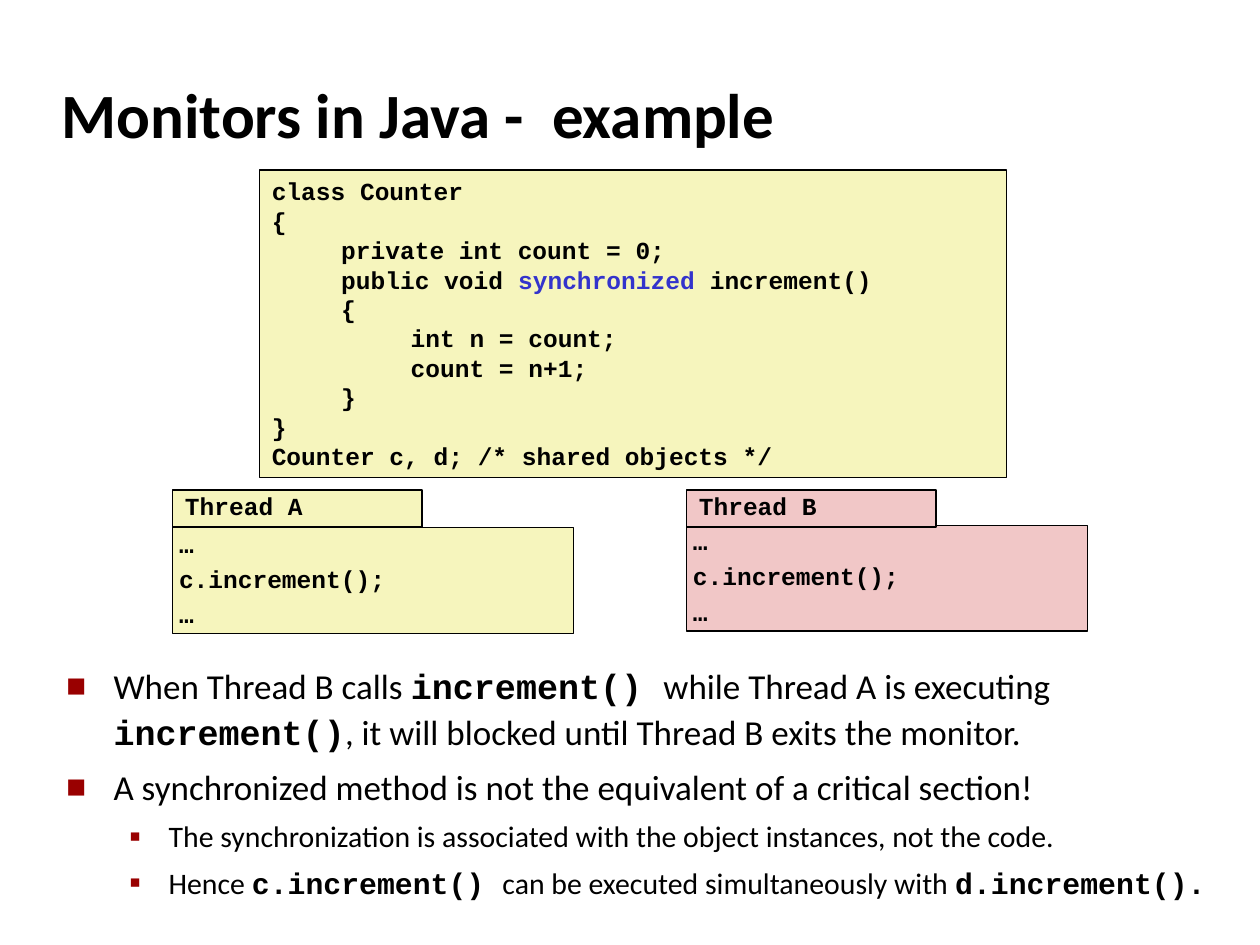
from lxml import etree
from pptx import Presentation
from pptx.dml.color import RGBColor
from pptx.enum.shapes import MSO_SHAPE
from pptx.enum.text import MSO_ANCHOR, MSO_AUTO_SIZE, PP_ALIGN
from pptx.oxml.ns import qn
from pptx.util import Cm, Pt

RECTANGLE = MSO_SHAPE.RECTANGLE
TOP, MIDDLE = MSO_ANCHOR.TOP, MSO_ANCHOR.MIDDLE
LEFT = PP_ALIGN.LEFT
NO_FIT, GROW = MSO_AUTO_SIZE.NONE, MSO_AUTO_SIZE.SHAPE_TO_FIT_TEXT

BLACK, KEYWORD_BLUE, BULLET_RED = "000000", "3333CC", "990000"
YELLOW, PINK = "F6F5BD", "F1C7C7"

TITLE = {"name": "Calibri", "size": Pt(36), "bold": True}
PROSE = {"name": "Calibri", "bold": False}
CODE = {"name": "Courier New", "bold": True}
LISTING = {**CODE, "size": Pt(14)}

THREAD_SPACING = {"line_spacing": 0.8, "space_before": Pt(6.8)}

# Bullet levels: text size, space before, left margin, hanging indent, mark, mark size
LEVELS = [
    {"size": Pt(20), "before": Pt(5), "margin": Cm(0.95), "hang": Cm(0.95),
     "mark": "■", "percent": 60},
    {"size": Pt(17), "before": Pt(4.2), "margin": Cm(2.06), "hang": Cm(0.79),
     "mark": "▪", "percent": 110},
]

COUNTER_CLASS = [
    ["class Counter"],
    ["{"],
    ["\tprivate int count = 0;"],
    ["\tpublic void ", "synchronized", " increment()"],
    ["\t{"],
    ["\t\tint n = count;"],
    ["\t\tcount = n+1;"],
    ["\t}"],
    ["}"],
    ["Counter c, d; /* shared objects */"],
]

THREAD_CODE = [["…"], ["c.increment();"], ["…"]]

# Level and text pieces, which alternate between prose and code
NOTES = [
    (0, ["When Thread B calls ", "increment() ", "while Thread A is executing ",
         "increment()", ", it will blocked until Thread B exits the monitor."]),
    (0, ["A synchronized method is not the equivalent of a critical section!"]),
    (1, ["The synchronization is associated with the object instances, not the code."]),
    (1, ["Hence ", "c.increment() ", "can be executed simultaneously with ",
         "d.increment()."]),
]

# Name, left edge, top of the code box, colour
THREADS = [
    ("Thread A", Cm(3.48), Cm(10.64), YELLOW),
    ("Thread B", Cm(13.84), Cm(10.59), PINK),
]


def rgb(color):
    return RGBColor.from_string(color)


def set_all(target, values):
    for attribute, value in values.items():
        setattr(target, attribute, value)


def add_run(paragraph, text, font, color=BLACK):
    run = paragraph.add_run()
    run.text = text
    set_all(run.font, font)
    run.font.color.rgb = rgb(color)


def add_property(parent, tag, **attributes):
    return etree.SubElement(parent, qn(tag), attributes)


def paragraphs_for(frame, items):
    """Yield each item with its own paragraph of the frame."""
    for index, item in enumerate(items):
        yield (frame.add_paragraph() if index else frame.paragraphs[0]), item


def add_tab_stops(paragraph, step, count):
    stops = add_property(paragraph._p.get_or_add_pPr(), "a:tabLst")
    for number in range(1, count + 1):
        add_property(stops, "a:tab", pos=str(step * number), algn="l")


def add_bullet(paragraph, level):
    properties = paragraph._p.get_or_add_pPr()
    properties.set("marL", str(level["margin"]))
    properties.set("indent", str(-level["hang"]))
    color = add_property(properties, "a:buClr")
    add_property(color, "a:srgbClr", val=BULLET_RED)
    add_property(properties, "a:buSzPct", val=str(level["percent"] * 1000))
    add_property(properties, "a:buFont", typeface="Calibri")
    add_property(properties, "a:buChar", char=level["mark"])


def add_title(slide, text):
    title = slide.shapes.title
    set_all(title, {"left": Cm(0.99), "top": Cm(1.22),
                    "width": Cm(21.08), "height": Cm(2.11)})
    frame = title.text_frame
    set_all(frame, {"vertical_anchor": MIDDLE, "auto_size": NO_FIT})
    heading = frame.paragraphs[0]
    heading.alignment = LEFT
    # The first line hangs back to the edge of the text area
    properties = heading._p.get_or_add_pPr()
    properties.set("marL", str(Cm(0.33)))
    properties.set("indent", str(-Cm(0.33)))
    add_run(heading, text, TITLE)


def add_code_box(slide, place, lines, fill, line_width=0.75, spacing=None,
                 anchor=TOP, inset=None):
    box = slide.shapes.add_shape(RECTANGLE, *place)
    box.shadow.inherit = False
    box.fill.solid()
    box.fill.fore_color.rgb = rgb(fill)
    box.line.color.rgb = rgb(BLACK)
    box.line.width = Pt(line_width)
    frame = box.text_frame
    set_all(frame, {"word_wrap": True, "auto_size": GROW, "vertical_anchor": anchor})
    if inset is not None:
        set_all(frame, {f"margin_{side}": inset
                        for side in ("left", "top", "right", "bottom")})
    for paragraph, pieces in paragraphs_for(frame, lines):
        set_all(paragraph, {"alignment": LEFT, **(spacing or {})})
        add_tab_stops(paragraph, Cm(1.4), 7)
        for piece in pieces:
            color = KEYWORD_BLUE if piece == "synchronized" else BLACK
            add_run(paragraph, piece, LISTING, color)


def add_thread(slide, name, left, code_top, fill):
    add_code_box(slide, (left, code_top, Cm(8.08), Cm(2.13)), THREAD_CODE, fill,
                 spacing=THREAD_SPACING, inset=Cm(0.13))
    add_code_box(slide, (left, Cm(9.88), Cm(5.03), Cm(0.74)), [[name]], fill,
                 line_width=1, spacing=THREAD_SPACING, anchor=MIDDLE)


def add_notes(slide):
    box = slide.shapes.add_textbox(Cm(1.09), Cm(13.18), Cm(23.85), Cm(5.28))
    frame = box.text_frame
    frame.word_wrap = True
    for paragraph, (depth, pieces) in paragraphs_for(frame, NOTES):
        level = LEVELS[depth]
        set_all(paragraph, {"level": depth, "line_spacing": 1.1,
                            "space_before": level["before"]})
        add_bullet(paragraph, level)
        for index, piece in enumerate(pieces):
            font = CODE if index % 2 else PROSE
            add_run(paragraph, piece, {**font, "size": level["size"]})


def main():
    presentation = Presentation()
    set_all(presentation, {"slide_width": Cm(25.4), "slide_height": Cm(19.05)})
    title_only = presentation.slide_layouts[5]
    slide = presentation.slides.add_slide(title_only)

    add_title(slide, "Monitors in Java -  example")
    add_notes(slide)

    # Shared class, then the two threads that use it
    add_code_box(slide, (Cm(5.23), Cm(3.43), Cm(15.06), Cm(6.2)), COUNTER_CLASS, YELLOW)
    for thread in THREADS:
        add_thread(slide, *thread)

    presentation.save("out.pptx")


if __name__ == "__main__":
    main()
